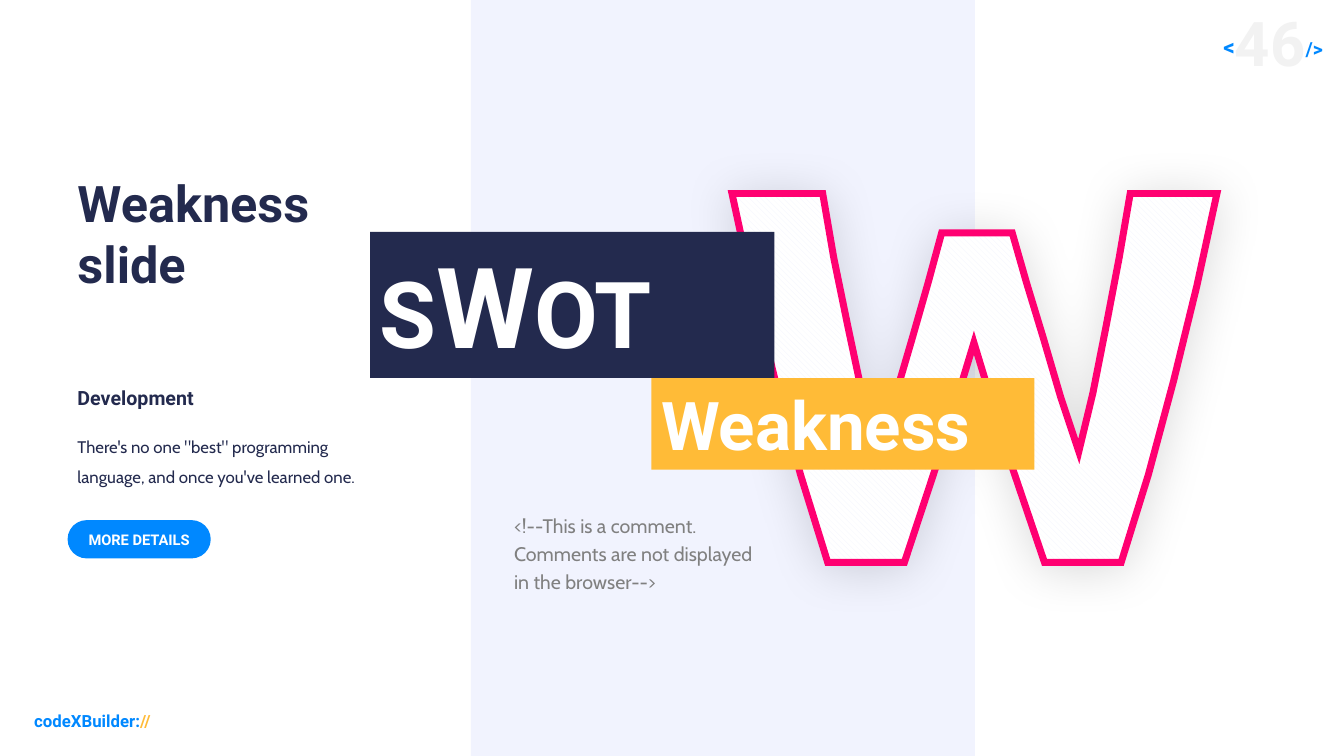
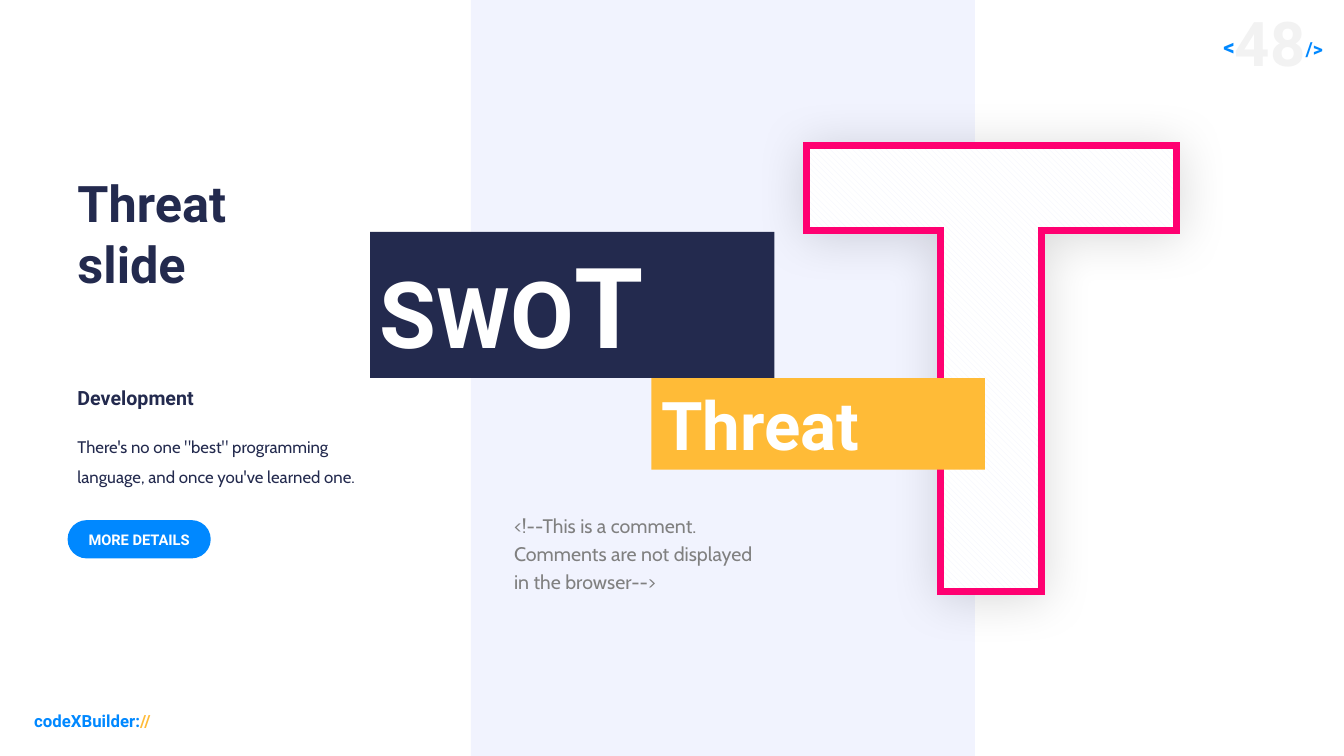
from lxml import etree
from pptx import Presentation
from pptx.dml.color import RGBColor
from pptx.enum.dml import MSO_PATTERN
from pptx.enum.shapes import MSO_SHAPE
from pptx.enum.text import MSO_ANCHOR, PP_ALIGN
from pptx.oxml import parse_xml
from pptx.oxml.ns import nsdecls, qn
from pptx.util import Inches, Pt

RECT, PILL = MSO_SHAPE.RECTANGLE, MSO_SHAPE.ROUNDED_RECTANGLE
TOP, MIDDLE = MSO_ANCHOR.TOP, MSO_ANCHOR.MIDDLE
LEFT, CENTER, RIGHT = PP_ALIGN.LEFT, PP_ALIGN.CENTER, PP_ALIGN.RIGHT
HATCH = MSO_PATTERN.WIDE_DOWNWARD_DIAGONAL

WHITE = RGBColor(0xFF, 0xFF, 0xFF)
NAVY = RGBColor(0x23, 0x2A, 0x4E)
BLUE = RGBColor(0x00, 0x88, 0xFF)
AMBER = RGBColor(0xFF, 0xBB, 0x37)
PINK = RGBColor(0xFF, 0x00, 0x71)
PALE = RGBColor(0xF1, 0xF3, 0xFE)
SILVER = RGBColor(0xF2, 0xF2, 0xF2)
GRAY = RGBColor(0x80, 0x80, 0x80)

HEAD = {"name": "Roboto", "bold": True}
BODY = {"name": "Cabin", "bold": False}

# Each letter is a list of corners; curved edges are followed in short steps.
LETTER_W = [
    (7.26, 1.92), (8.16, 1.92), (8.27, 2.56), (8.41, 3.24), (8.55, 3.9),
    (8.69, 4.48), (8.88, 3.93), (9.05, 3.35), (9.21, 2.79), (9.34, 2.31),
    (10.04, 2.31), (10.18, 2.8), (10.35, 3.36), (10.52, 3.94), (10.7, 4.48),
    (10.84, 3.9), (10.97, 3.24), (11.1, 2.56), (11.21, 1.92), (12.07, 1.92),
    (11.87, 2.84), (11.64, 3.78), (11.39, 4.71), (11.12, 5.58), (10.36, 5.58),
    (10, 4.52), (9.66, 3.4), (9.32, 4.52), (8.97, 5.58), (8.21, 5.58),
    (7.94, 4.71), (7.69, 3.78), (7.46, 2.84),
]
LETTER_T = [
    (8, 1.44), (11.67, 1.44), (11.67, 2.29), (10.33, 2.29),
    (10.33, 5.87), (9.33, 5.87), (9.33, 2.29), (8, 2.29),
]

PAGES = [
    {"number": "46", "topic": "Weakness", "outline": LETTER_W, "tag": 3.8,
     "swot": [("S", 66), ("W", 80), ("OT", 66)]},
    {"number": "48", "topic": "Threat", "outline": LETTER_T, "tag": 3.31,
     "swot": [("S", 66), ("W", 60), ("O", 66), ("T", 80)]},
]


def write(shape, lines, style, align=LEFT, anchor=TOP, space=1.0):
    """Fill a shape with lines of (text, size, colour[, raise]) runs."""
    frame = shape.text_frame
    frame.word_wrap, frame.vertical_anchor = True, anchor
    for i, line in enumerate(lines):
        para = frame.add_paragraph() if i else frame.paragraphs[0]
        para.alignment, para.line_spacing = align, space
        for text, size, color, *lift in line:
            run = para.add_run()
            run.text = text
            for key, value in {**style, "size": Pt(size)}.items():
                setattr(run.font, key, value)
            run.font.color.rgb = color
            if lift:
                run.font._element.set("baseline", str(lift[0] * 1000))


def label(slide, box, lines, style, **layout):
    text = slide.shapes.add_textbox(*map(Inches, box))
    write(text, lines, style, **layout)


def block(slide, box, color, kind=RECT):
    shape = slide.shapes.add_shape(kind, *map(Inches, box))
    shape.shadow.inherit = False
    shape.fill.solid()
    shape.fill.fore_color.rgb = color
    shape.line.fill.background()
    return shape


def glow(shape):
    """Give a shape a wide, soft shadow just below it."""
    props = shape._element.spPr
    for old in props.findall(qn("a:effectLst")):
        props.remove(old)
    props.append(parse_xml(
        f'<a:effectLst {nsdecls("a")}>'
        f'<a:outerShdw blurRad="{Pt(35)}" dist="{Pt(3)}" dir="5400000" '
        'algn="ctr" rotWithShape="0"><a:srgbClr val="000000">'
        '<a:alpha val="15000"/></a:srgbClr></a:outerShdw></a:effectLst>'))


def letter(slide, outline):
    first, *rest = [(Inches(x), Inches(y)) for x, y in outline]
    path = slide.shapes.build_freeform(*first)
    path.add_line_segments(rest, close=True)
    shape = path.convert_to_shape()
    fill, line = shape.fill, shape.line
    fill.patterned()
    fill.pattern = HATCH
    fill.fore_color.rgb, fill.back_color.rgb = PALE, WHITE
    line.color.rgb, line.width = PINK, Pt(5)
    stroke = shape._element.spPr.find(qn("a:ln"))
    etree.SubElement(stroke, qn("a:miter")).set("lim", "800000")
    glow(shape)


def frame(slide, number):
    """Add the page number, footer and centre band that all slides share."""
    label(slide, (10.67, 0, 2.55, 0.84),
          [[("<", 28, BLUE, 30), (number, 44, SILVER), ("/>", 24, BLUE, 30)]],
          HEAD, align=RIGHT, anchor=MIDDLE)
    label(slide, (0.24, 7, 1.48, 0.3),
          [[("codeXBuilder:", 12, BLUE), ("//", 12, AMBER)]], HEAD)
    block(slide, (4.67, 0, 5, 7.5), PALE)


def banner(slide, page):
    swot = block(slide, (3.67, 2.3, 4.01, 1.45), NAVY)
    write(swot, [[(text, size, WHITE) for text, size in page["swot"]]], HEAD)
    tag = block(slide, (6.46, 3.75, page["tag"], 0.91), AMBER)
    write(tag, [[(page["topic"], 48, WHITE)]], HEAD)
    label(slide, (5, 5, 2.67, 0.92),
          [[("<!--This is a comment. Comments are not displayed "
             "in the browser-->", 14, GRAY)]], BODY, space=1.2)


def story(slide, topic):
    """Add the left column: title, button, heading and text."""
    label(slide, (0.67, 1.66, 2.72, 1.31),
          [[(word, 36, NAVY)] for word in (topic, "slide")], HEAD)
    button = block(slide, (0.67, 5.16, 1.42, 0.38), BLUE, PILL)
    button.adjustments[0] = 0.5
    write(button, [[("MORE DETAILS", 10.5, WHITE)]], HEAD,
          align=CENTER, anchor=MIDDLE)
    label(slide, (0.67, 3.71, 1.57, 0.37),
          [[("Development", 14, NAVY)]], HEAD, space=1.3)
    label(slide, (0.67, 4.18, 3.05, 0.67),
          [[("There's no one \"best\" programming language, "
             "and once you've learned one.", 12, NAVY)]], BODY, space=1.5)


def main():
    deck = Presentation()
    deck.slide_width, deck.slide_height = Inches(13.33), Inches(7.5)
    blank = deck.slide_layouts[6]
    for page in PAGES:
        slide = deck.slides.add_slide(blank)
        frame(slide, page["number"])
        letter(slide, page["outline"])
        banner(slide, page)
        story(slide, page["topic"])
    deck.save("out.pptx")


if __name__ == "__main__":
    main()
